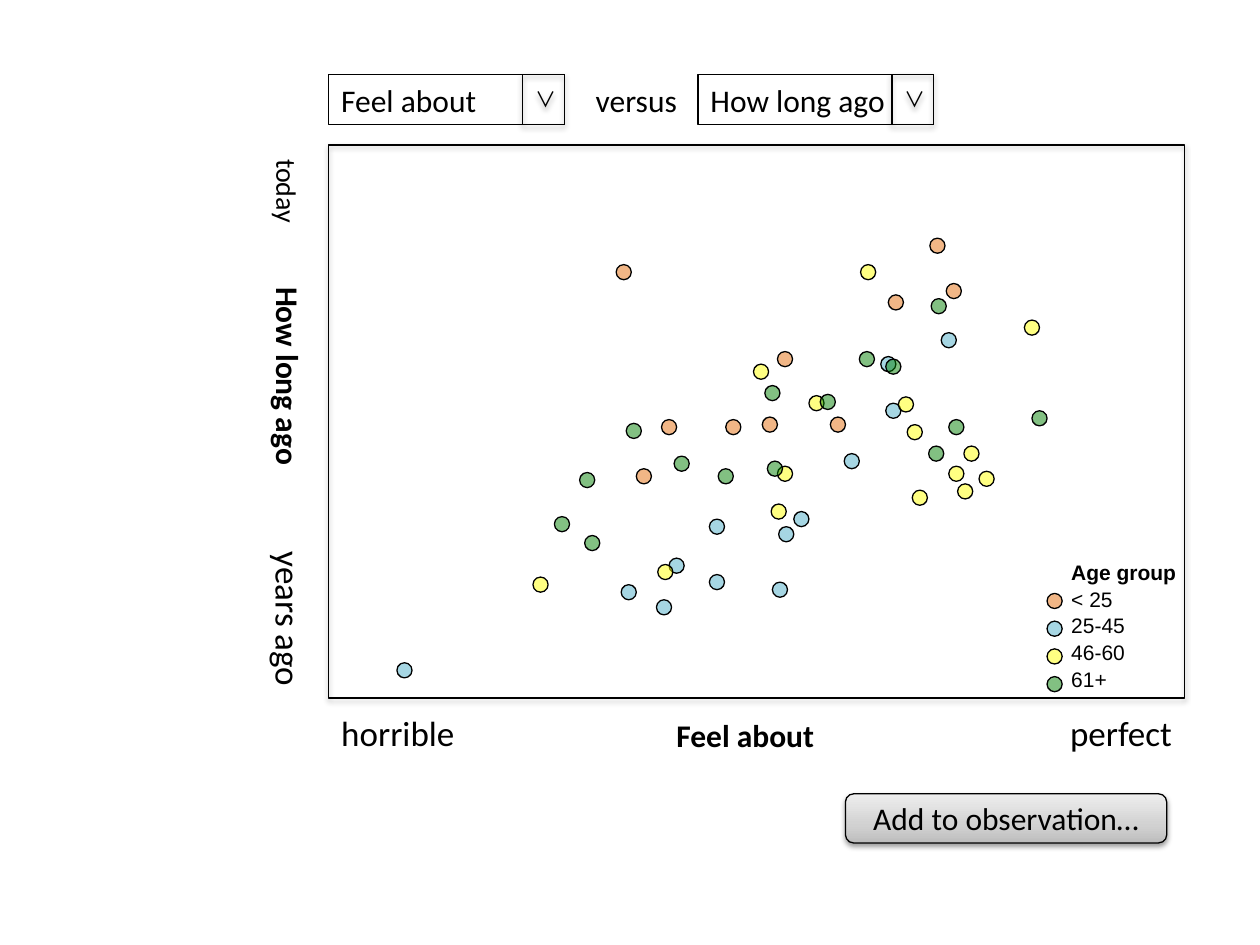
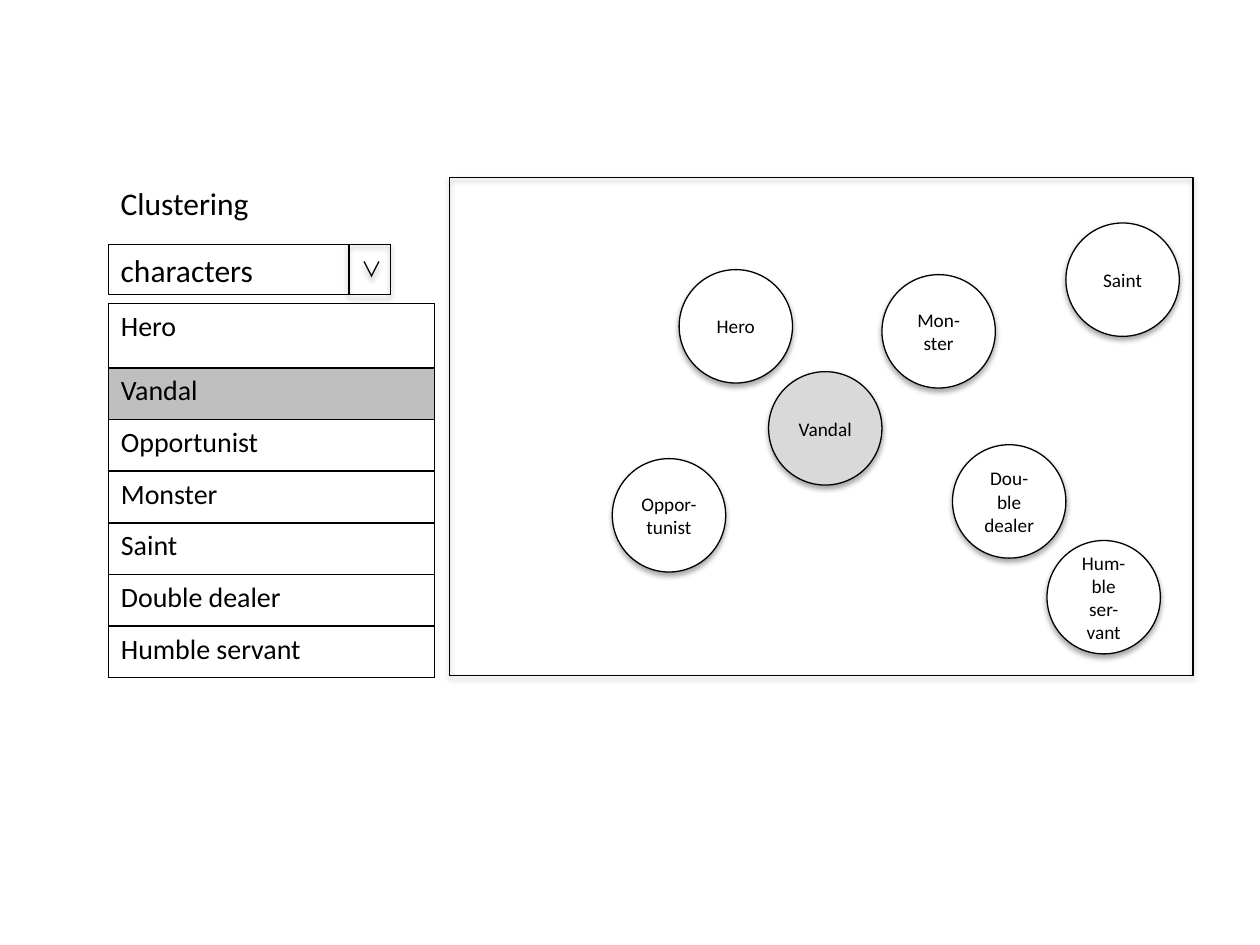
"""Build two wireframe slides: a scatter plot view and a clustering view."""
from copy import deepcopy

from lxml.etree import SubElement
from pptx import Presentation
from pptx.dml.color import RGBColor
from pptx.enum.shapes import MSO_SHAPE
from pptx.enum.text import MSO_ANCHOR, PP_ALIGN
from pptx.oxml.ns import qn
from pptx.util import Cm, Pt

COLOURS = {
    "ink": "000000", "white": "FFFFFF",
    "selected row": "BFBFBF", "selected bubble": "D9D9D9",
    "button low": "BDBDBD", "button mid": "D1D1D1", "button high": "EEEEEE",
    "< 25": "E46C0A", "25-45": "4BACC6", "46-60": "FFFF00", "61+": "008000",
}
BODY = {"name": "Calibri", "size": Pt(18)}
AXIS_TITLE = BODY | {"bold": True}
AXIS_END = BODY | {"size": Pt(20)}
AXIS_START = BODY | {"size": Pt(16)}
LIST_ITEM = BODY | {"size": Pt(16)}
BUBBLE = BODY | {"size": Pt(11)}
ARROW = {"name": "Noto Sans CJK JP", "size": Pt(12)}
LEGEND = {"name": "Arial", "size": Pt(12)}
LEFT = {"alignment": PP_ALIGN.LEFT}
CENTRE = {"alignment": PP_ALIGN.CENTER}
RIGHT = {"alignment": PP_ALIGN.RIGHT}
NO_STYLE = "{2D5ABB26-0587-4C30-8999-92F81FD0307C}"
CM_PER_INCH = 2.54
LINE_WIDTH = Pt(0.75)
DOT_SIZE = 0.12
BUBBLE_SIZE = 0.9
ARROW_WIDTH = 0.33
FIELD_HEIGHT = 0.4

DOTS = {
    "< 25": [(5.25, 3.33), (7.05, 2.34), (4.89, 2.1), (5.05, 3.72), (5.76, 3.33),
             (6.17, 2.79), (6.59, 3.31), (7.38, 1.89), (6.05, 3.31), (7.51, 2.25)],
    "25-45": [(6.99, 2.83), (7.47, 2.64), (6.7, 3.6), (6.18, 4.18), (3.15, 5.26),
              (5.63, 4.56), (5.63, 4.12), (5.31, 4.43), (6.3, 4.06), (5.21, 4.76),
              (4.93, 4.64), (7.03, 3.2), (6.13, 4.62)],
    "46-60": [(6.42, 3.14), (8.13, 2.54), (7.24, 3.89), (5.98, 2.89), (6.83, 2.1),
              (7.65, 3.54), (6.17, 3.7), (7.13, 3.15), (7.77, 3.74), (7.6, 3.84),
              (4.23, 4.58), (7.2, 3.37), (7.53, 3.7), (5.22, 4.48), (6.12, 4)],
    "61+": [(4.6, 3.75), (5.7, 3.72), (7.53, 3.33), (8.19, 3.26), (4.97, 3.36),
            (6.82, 2.79), (5.35, 3.62), (4.4, 4.1), (4.64, 4.25), (7.03, 2.85),
            (7.37, 3.54), (7.39, 2.37), (6.07, 3.06), (6.51, 3.13), (6.09, 3.66)],
}
CHARACTERS = ["Hero", "Vandal", "Opportunist", "Monster", "Saint",
              "Double dealer", "Humble servant"]
BUBBLES = [
    ("Hero", 5.39, 2.14), ("Oppor-tunist", 4.86, 3.64), ("Vandal", 6.1, 2.95),
    ("Mon-ster", 7, 2.18), ("Dou-ble dealer", 7.56, 3.53),
    ("Hum-ble ser-vant", 8.31, 4.29), ("Saint", 8.46, 1.77),
]


def lengths(*inches):
    """Turn inches into Cm lengths."""
    return [Cm(value * CM_PER_INCH) for value in inches]


def colour(name):
    """Look up a named colour."""
    return RGBColor.from_string(COLOURS[name])


def apply(target, values):
    """Set attributes of an object from a dict."""
    for name, value in values.items():
        setattr(target, name, value)


def write(frame, text, style, layout=LEFT, anchor=MSO_ANCHOR.TOP):
    """Write one paragraph into a text frame."""
    apply(frame, {"word_wrap": True, "vertical_anchor": anchor})
    para = frame.paragraphs[0]
    apply(para, layout)
    span = para.add_run()
    span.text = text
    apply(span.font, style)
    span.font.color.rgb = colour("ink")
    SubElement(span.font._element, qn("a:ea"), typeface=style["name"])


def add_shadow(shape, opacity=35, distance=23000):
    """Give a shape a soft shadow below it."""
    effects = shape._element.spPr.find(qn("a:effectLst"))
    shadow = SubElement(effects, qn("a:outerShdw"), blurRad="40000",
                        dist=str(distance), dir="5400000", rotWithShape="0")
    tone = SubElement(shadow, qn("a:srgbClr"), val=COLOURS["ink"])
    SubElement(tone, qn("a:alpha"), val=str(opacity * 1000))


def add_outline(shapes, kind, at, fill=None):
    """Add a thinly outlined shape, filled if a colour is named."""
    shape = shapes.add_shape(kind, *lengths(*at))
    shape.shadow.inherit = False
    shape.line.width = LINE_WIDTH
    shape.line.color.rgb = colour("ink")
    if fill:
        shape.fill.solid()
        shape.fill.fore_color.rgb = colour(fill)
    else:
        shape.fill.background()
    return shape


def add_panel(page, at):
    """Add the shadowed frame of a plot."""
    add_shadow(add_outline(page.shapes, MSO_SHAPE.RECTANGLE, at))


def add_label(page, text, at, style=BODY, layout=LEFT, rotation=0):
    """Add a text box."""
    box = page.shapes.add_textbox(*lengths(*at))
    box.rotation = rotation
    write(box.text_frame, text, style, layout)


def add_dropdown(page, text, left, top, width):
    """Add a grouped selection field with an arrow button."""
    shapes = page.shapes.add_group_shape().shapes
    field = add_outline(shapes, MSO_SHAPE.RECTANGLE, (left, top, width, FIELD_HEIGHT))
    write(field.text_frame, text, BODY)
    arrow_left = left + width - ARROW_WIDTH
    arrow = add_outline(shapes, MSO_SHAPE.RECTANGLE,
                        (arrow_left, top, ARROW_WIDTH, FIELD_HEIGHT))
    add_shadow(arrow)
    write(arrow.text_frame, "∨", ARROW, CENTRE, MSO_ANCHOR.MIDDLE)


def add_dot(page, group, left, top):
    """Add a translucent dot in the colour of its age group."""
    dot = add_outline(page.shapes, MSO_SHAPE.OVAL, (left, top, DOT_SIZE, DOT_SIZE), group)
    tone = dot._element.spPr.find(qn("a:solidFill"))[0]
    SubElement(tone, qn("a:alpha"), val="49000")


def add_bubble(page, text, left, top):
    """Add a labelled cluster bubble."""
    fill = "selected bubble" if text == "Vandal" else "white"
    bubble = add_outline(page.shapes, MSO_SHAPE.OVAL,
                         (left, top, BUBBLE_SIZE, BUBBLE_SIZE), fill)
    add_shadow(bubble)
    write(bubble.text_frame, text, BUBBLE, CENTRE, MSO_ANCHOR.MIDDLE)


def add_button(page, text, at):
    """Add a rounded button with a grey gradient."""
    button = add_outline(page.shapes, MSO_SHAPE.ROUNDED_RECTANGLE, at)
    button.fill.gradient()
    button.fill.gradient_angle = 90
    stop_list = button._element.spPr.find(".//" + qn("a:gsLst"))
    stop_list.insert(1, deepcopy(stop_list[0]))
    tones = [(0, "button low"), (0.35, "button mid"), (1, "button high")]
    for stop, (position, tone) in zip(button.fill.gradient_stops, tones):
        stop.position = position
        stop.color.rgb = colour(tone)
    add_shadow(button, opacity=38, distance=20000)
    write(button.text_frame, text, BODY, CENTRE, MSO_ANCHOR.MIDDLE)


def add_list(page, at, heights):
    """Add an unstyled one-column table and return its cells."""
    table = page.shapes.add_table(len(heights), 1, *lengths(*at)).table
    apply(table, {"first_row": False, "horz_banding": False})
    table._tbl.tblPr.find(qn("a:tableStyleId")).text = NO_STYLE
    for row, height in zip(table.rows, lengths(*heights)):
        row.height = height
    cells = [row.cells[0] for row in table.rows]
    for cell in cells:
        cell.fill.background()
    return cells


def add_borders(cell):
    """Draw a black line on all four sides of a cell."""
    properties = cell._tc.get_or_add_tcPr()
    for index, side in enumerate(("lnL", "lnR", "lnT", "lnB")):
        border = SubElement(properties, qn(f"a:{side}"), w=str(Pt(1)))
        fill = SubElement(border, qn("a:solidFill"))
        SubElement(fill, qn("a:srgbClr"), val=COLOURS["ink"])
        properties.insert(index, border)


def add_legend(page):
    """Add the age group legend."""
    cells = add_list(page, (8.49, 4.43, 0.92, 1.07), [0.21] * 5)
    margin = Cm(0.03)
    margins = {"margin_left": margin, "margin_right": margin,
               "margin_top": margin, "margin_bottom": 0}
    for index, (cell, text) in enumerate(zip(cells, ["Age group", *DOTS])):
        apply(cell, margins)
        write(cell.text_frame, text, LEGEND | {"bold": index == 0})
        cell.vertical_anchor = MSO_ANCHOR.BOTTOM
    for index, group in enumerate(DOTS):
        add_dot(page, group, 8.31, 4.71 + 0.22 * index)


def add_character_list(page):
    """Add the bordered list of characters."""
    cells = add_list(page, (0.86, 2.41, 2.59, 2.95), [0.51] + [0.41] * 6)
    for cell, name in zip(cells, CHARACTERS):
        write(cell.text_frame, name, LIST_ITEM)
        if name == "Vandal":
            cell.fill.solid()
            cell.fill.fore_color.rgb = colour("selected row")
        add_borders(cell)


def build_scatter(page):
    """Fill the scatter plot slide."""
    add_panel(page, (2.61, 1.15, 6.79, 4.39))
    for group, places in DOTS.items():
        for left, top in places:
            add_dot(page, group, left, top)
    add_dropdown(page, "Feel about", 2.61, 0.59, 1.87)
    add_label(page, "versus", (4.63, 0.59, 0.9, 0.4))
    add_dropdown(page, "How long ago", 5.54, 0.59, 1.87)
    add_label(page, "horrible", (2.61, 5.6, 1.2, 0.44), AXIS_END)
    add_label(page, "Feel about", (5.27, 5.63, 1.4, 0.4), AXIS_TITLE)
    add_label(page, "perfect", (8.31, 5.6, 1.09, 0.44), AXIS_END, RIGHT)
    add_label(page, "today", (1.83, 1.43, 0.9, 0.37), AXIS_START, rotation=90)
    add_label(page, "How long ago", (1.44, 2.83, 1.7, 0.4), AXIS_TITLE, rotation=90)
    add_label(page, "years ago", (1.61, 4.64, 1.37, 0.44), AXIS_END, RIGHT, rotation=90)
    add_legend(page)
    add_button(page, "Add to observation…", (6.71, 6.3, 2.55, 0.39))


def build_clusters(page):
    """Fill the clustering slide."""
    add_character_list(page)
    add_panel(page, (3.57, 1.41, 5.9, 3.95))
    add_dropdown(page, "characters", 0.86, 1.94, 2.24)
    for text, left, top in BUBBLES:
        add_bubble(page, text, left, top)
    add_label(page, "Clustering", (0.86, 1.41, 1.3, 0.4))


def main():
    """Build and save the deck."""
    deck = Presentation()
    deck.slide_width, deck.slide_height = lengths(10, 7.5)
    for build in (build_scatter, build_clusters):
        build(deck.slides.add_slide(deck.slide_layouts[6]))
    deck.save("out.pptx")


if __name__ == "__main__":
    main()
